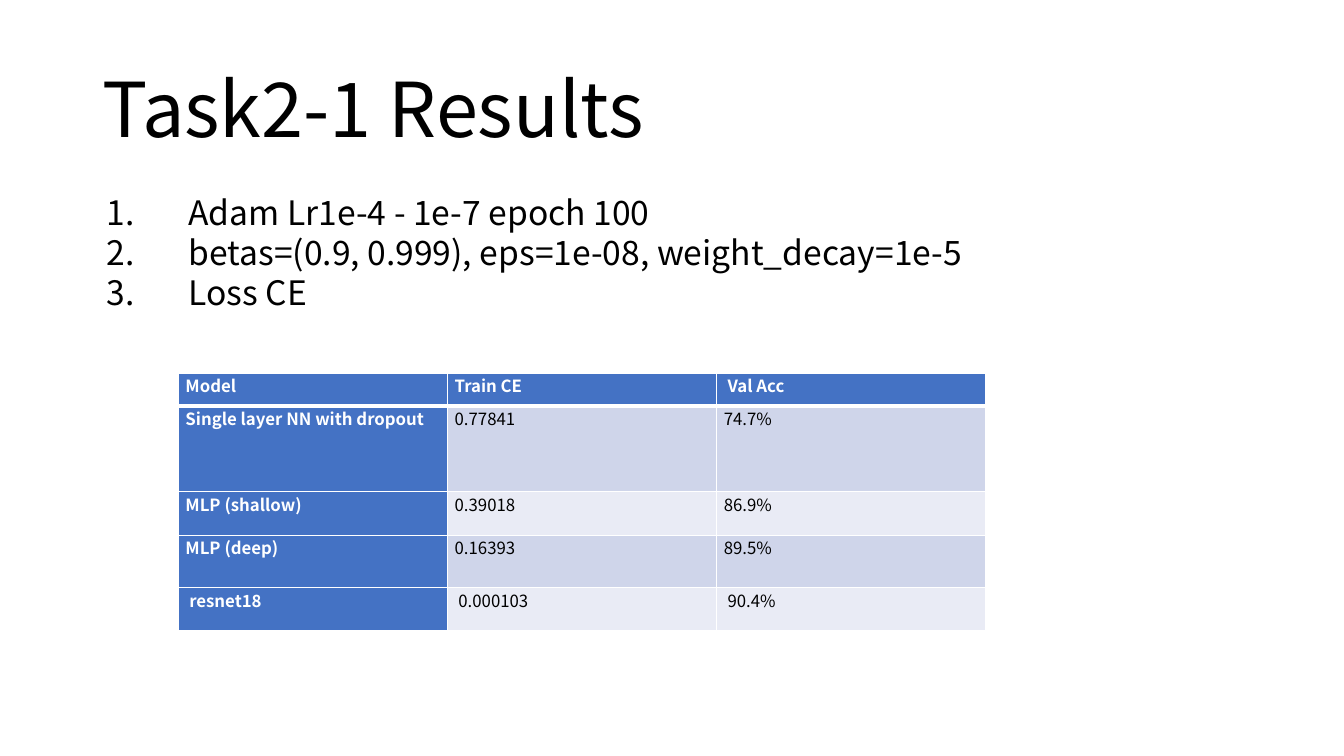
"""Build the Task2-1 results slide: a title, a numbered list of settings and a table of scores."""
import dataclasses

import lxml.etree
import pptx
import pptx.dml.color
import pptx.enum.text
import pptx.oxml.ns
import pptx.util

PX = 9144
ALIGN = pptx.enum.text.PP_ALIGN
ANCHOR = pptx.enum.text.MSO_ANCHOR
AUTO_SIZE = pptx.enum.text.MSO_AUTO_SIZE


@dataclasses.dataclass(frozen=True)
class Theme:
    font: str = "Noto Sans CJK SC"
    ink: str = "000000"
    paper: str = "FFFFFF"
    accent: str = "4472C4"
    bands: tuple = ("CFD5EA", "E9EBF5")
    title_size: int = 54
    list_size: int = 24
    table_size: int = 12
    thin: int = 1
    thick: int = 3


def apply(target, formats):
    for name, value in formats.items():
        setattr(target, name, value)


def add_element(parent, tag, **attributes):
    return lxml.etree.SubElement(parent, pptx.oxml.ns.qn(tag), attributes)


class SlideBuilder:
    def __init__(self, presentation, theme):
        self.theme = theme
        self.slide = presentation.slides.add_slide(presentation.slide_layouts[1])

    def place(self, shape, left, top, width, height):
        apply(shape, {"left": left * PX, "top": top * PX,
                      "width": width * PX, "height": height * PX})

    def add_text(self, paragraph, text, size, color, bold=False, **formats):
        run = paragraph.add_run()
        run.text = text
        apply(run.font, {"name": self.theme.font, "size": pptx.util.Pt(size), "bold": bold})
        run.font.color.rgb = pptx.dml.color.RGBColor.from_string(color)
        apply(paragraph, {"space_before": pptx.util.Pt(0), **formats})

    def title(self, text, box):
        shape = self.slide.shapes.title
        self.place(shape, *box)
        apply(shape.text_frame, {"vertical_anchor": ANCHOR.MIDDLE, "auto_size": AUTO_SIZE.NONE})
        self.add_text(shape.text_frame.paragraphs[0], text, self.theme.title_size,
                      self.theme.ink, alignment=ALIGN.LEFT, line_spacing=0.9)

    def numbered_list(self, items, box, indent):
        shape = self.slide.placeholders[1]
        self.place(shape, *box)
        frame = shape.text_frame
        apply(frame, {"vertical_anchor": ANCHOR.TOP, "auto_size": AUTO_SIZE.NONE})
        for index, item in enumerate(items):
            paragraph = frame.add_paragraph() if index else frame.paragraphs[0]
            self.add_text(paragraph, item, self.theme.list_size, self.theme.ink,
                          alignment=ALIGN.LEFT, line_spacing=1.0)
            properties = paragraph._p.get_or_add_pPr()
            properties.set("marL", str(indent * PX))
            properties.set("indent", str(-indent * PX))
            add_element(properties, "a:buFont", typeface="+mj-lt")
            add_element(properties, "a:buAutoNum", type="arabicPeriod")

    def border(self, cell, side, width):
        line = add_element(cell._tc.get_or_add_tcPr(), f"a:ln{side}",
                           w=str(int(pptx.util.Pt(width))))
        add_element(add_element(line, "a:solidFill"), "a:srgbClr", val=self.theme.paper)

    def cell(self, cell, text, row, column):
        theme = self.theme
        heading = row == 0 or column == 0
        apply(cell, {"margin_left": 7 * PX, "margin_right": 7 * PX,
                     "margin_top": 0, "margin_bottom": 0})
        thick_sides = {0: "B", 1: "T"}
        for side in "LRTB":
            self.border(cell, side, theme.thick if thick_sides.get(row) == side else theme.thin)
        fill = theme.accent if heading else theme.bands[(row - 1) % 2]
        cell.fill.solid()
        cell.fill.fore_color.rgb = pptx.dml.color.RGBColor.from_string(fill)
        self.add_text(cell.text_frame.paragraphs[0], text, theme.table_size,
                      theme.paper if heading else theme.ink, heading, alignment=ALIGN.JUSTIFY)

    def table(self, rows, left, top, column_width, row_heights):
        columns = len(rows[0])
        frame = self.slide.shapes.add_table(
            len(rows), columns, left * PX, top * PX,
            columns * column_width * PX, sum(row_heights) * PX)
        table = frame.table
        table.first_col = True
        for column in table.columns:
            column.width = column_width * PX
        for row, (texts, height) in enumerate(zip(rows, row_heights)):
            table.rows[row].height = height * PX
            for column, text in enumerate(texts):
                self.cell(table.cell(row, column), text, row, column)


def main():
    presentation = pptx.Presentation()
    apply(presentation, {"slide_width": 1333 * PX, "slide_height": 750 * PX})
    builder = SlideBuilder(presentation, Theme())
    builder.title("Task2-1 Results", (92, 40, 1150, 145))
    builder.numbered_list(
        ["Adam Lr1e-4 - 1e-7 epoch 100",
         "betas=(0.9, 0.999), eps=1e-08, weight_decay=1e-5",
         "Loss CE"],
        (96, 185, 1044, 432), indent=81)
    builder.table(
        [("Model", "Train CE", " Val Acc"),
         ("Single layer NN with dropout", "0.77841", "74.7%"),
         ("MLP (shallow)", "0.39018", "86.9%"),
         ("MLP (deep)", "0.16393", "89.5%"),
         (" resnet18", " 0.000103", " 90.4%")],
        left=177, top=370, column_width=267, row_heights=(33, 85, 43, 52, 43))
    presentation.save("out.pptx")


if __name__ == "__main__":
    main()
